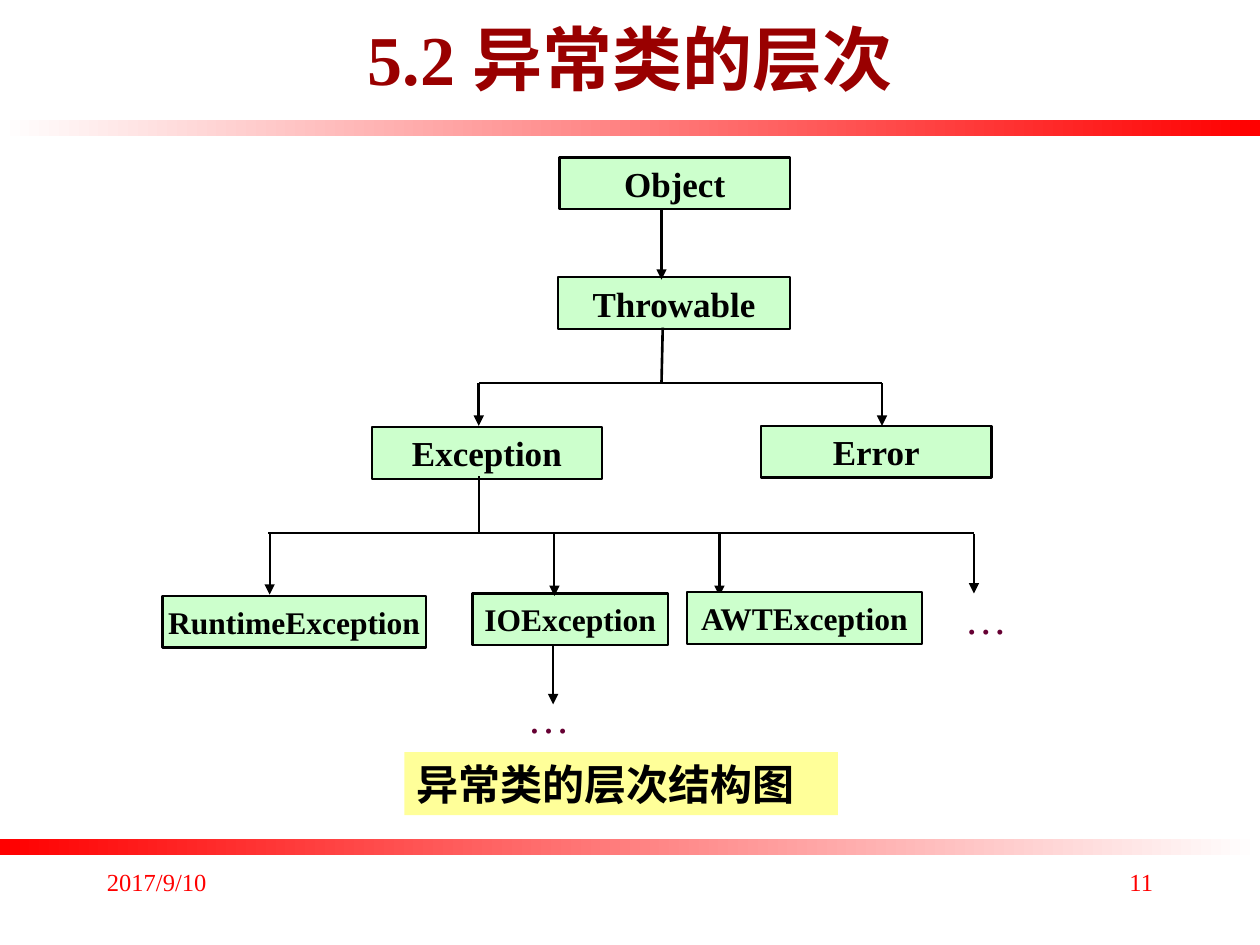
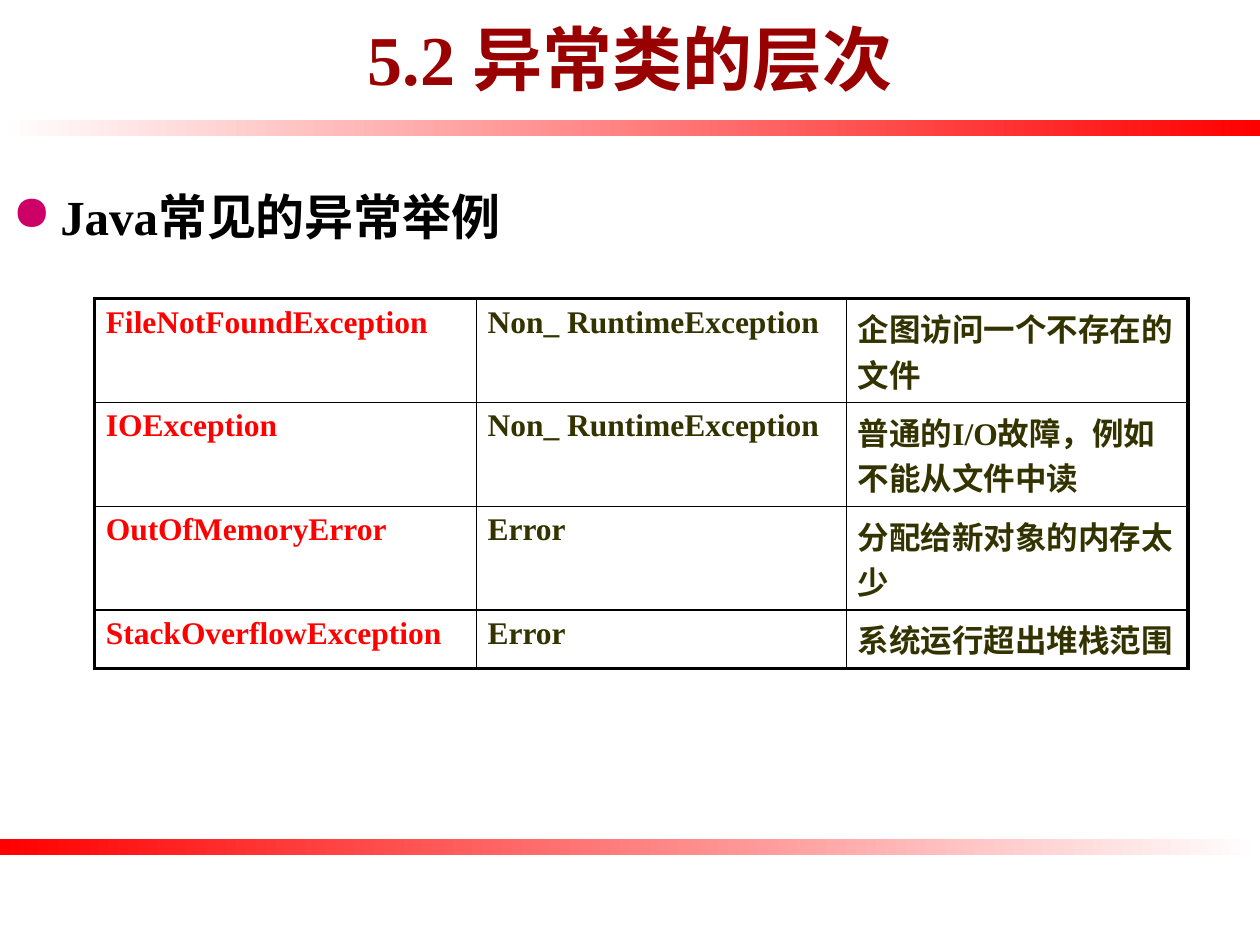
from lxml.etree import SubElement
from pptx import Presentation
from pptx.dml.color import RGBColor
from pptx.enum.shapes import MSO_CONNECTOR, MSO_SHAPE
from pptx.enum.text import MSO_ANCHOR, PP_ALIGN
from pptx.oxml import parse_xml
from pptx.oxml.ns import nsdecls, qn
from pptx.util import Inches, Pt

FONT = "Times New Roman"
BLACK, WHITE, RED = "000000", "FFFFFF", "FF0000"
TITLE, NODE, CAPTION = "990000", "CCFFCC", "FFFF99"
PLUM, OLIVE, BULLET = "660033", "333300", "CC0066"
HEADING = "5.2 异常类的层次"
NODE_H = 0.41


def rgb(value):
    return RGBColor.from_string(value)


def box(*lengths):
    return [Inches(v) for v in lengths]


def set_all(obj, values):
    for name, value in values.items():
        setattr(obj, name, value)


def write(tf, text, size, color, bold=False, align=PP_ALIGN.LEFT):
    p = tf.paragraphs[0]
    p.alignment = align
    r = p.add_run()
    r.text = text
    set_all(r.font, {"name": FONT, "size": Pt(size), "bold": bold})
    r.font.color.rgb = rgb(color)
    return p


def add_text(s, at, text, size, color, bold=False, align=PP_ALIGN.LEFT, wrap=True):
    sp = s.shapes.add_textbox(*box(*at))
    sp.text_frame.word_wrap = wrap
    write(sp.text_frame, text, size, color, bold, align)
    return sp


def add_band(s, layout, top, colors):
    sp = s.shapes.add_shape(MSO_SHAPE.RECTANGLE, *box(0, top, 10, 0.13))
    sp.shadow.inherit = False
    sp.line.fill.background()
    sp.fill.gradient()
    sp.fill.gradient_angle = 0
    for stop, color in zip(sp.fill.gradient_stops, colors):
        stop.color.rgb = rgb(color)
    layout.shapes.element.append(sp.element)


def add_title(s):
    sp = s.shapes.title
    left, top, width, height = box(0.75, -0.17, 8.5, 1.25)
    set_all(sp, {"left": left, "top": top, "width": width, "height": height})
    set_all(sp.text_frame, {"word_wrap": True, "vertical_anchor": MSO_ANCHOR.MIDDLE})
    write(sp.text_frame, HEADING, 40, TITLE, True, PP_ALIGN.CENTER)


def add_footer(s, date, number):
    for left, text, align in ((0.75, date, PP_ALIGN.LEFT), (7.17, number, PP_ALIGN.RIGHT)):
        add_text(s, (left, 6.83, 2.08, 0.5), text, 14, RED, align=align)


def add_node(s, x, y, width, text, size):
    sp = s.shapes.add_shape(MSO_SHAPE.RECTANGLE, *box(x, y, width, NODE_H))
    sp.shadow.inherit = False
    sp.fill.solid()
    sp.fill.fore_color.rgb = rgb(NODE)
    sp.line.color.rgb = rgb(BLACK)
    sp.line.width = Pt(1.25)
    set_all(sp.text_frame, {"word_wrap": False, "vertical_anchor": MSO_ANCHOR.MIDDLE})
    write(sp.text_frame, text, size, BLACK, True, PP_ALIGN.CENTER)


def add_edge(s, x1, y1, x2, y2, weight, arrow):
    sp = s.shapes.add_connector(MSO_CONNECTOR.STRAIGHT, *box(x1, y1, x2, y2))
    sp.line.color.rgb = rgb(BLACK)
    sp.line.width = Pt(weight)
    if arrow:
        SubElement(sp.line._get_or_add_ln(), qn("a:tailEnd"), type="triangle")
    SubElement(sp.element.spPr, qn("a:effectLst"))


def add_class_tree(s, x, y):
    nodes = [
        (3.15, 0, 1.83, "Object", 20),
        (3.14, 0.95, 1.84, "Throwable", 20),
        (4.75, 2.13, 1.83, "Error", 20),
        (1.66, 2.14, 1.83, "Exception", 20),
        (2.46, 3.46, 1.55, "IOException", 18),
        (0, 3.48, 2.09, "RuntimeException", 18),
    ]
    edges = [
        (3.96, 0.42, 3.96, 0.97, 1.25, True),
        (3.97, 1.35, 3.96, 1.79, 1.5, False),
        (2.51, 1.79, 5.71, 1.79, 1.5, False),
        (2.51, 1.79, 2.51, 2.13, 1.5, True),
        (5.71, 1.79, 5.71, 2.13, 1.25, True),
        (2.51, 2.53, 2.51, 2.98, 1.25, False),
        (0.84, 2.98, 6.44, 2.98, 0.75, False),
        (3.1, 3.87, 3.1, 4.34, 1.25, True),
    ]
    edges += [(dx, 2.99, dx, end, 1.25, True)
              for dx, end in ((0.85, 3.47), (3.11, 3.48), (4.42, 3.48), (6.44, 3.46))]
    for dx, dy, width, text, size in nodes:
        add_node(s, x + dx, y + dy, width, text, size)
    for x1, y1, x2, y2, weight, arrow in edges:
        add_edge(s, x + x1, y + y1, x + x2, y + y2, weight, arrow)
    add_node(s, x + 4.16, y + 3.45, 1.87, "AWTException", 18)
    for dx, dy in ((2.8, 4.19), (6.27, 3.4)):
        add_text(s, (x + dx, y + dy, 0.53, 0.5), "…", 24, PLUM, wrap=False)


def add_caption(s, x, y):
    sp = add_text(s, (x, y, 3.44, 0.5), "异常类的层次结构图", 24, BLACK, True)
    sp.fill.solid()
    sp.fill.fore_color.rgb = rgb(CAPTION)


def add_bullet(s, x, y, text):
    sp = add_text(s, (x, y, 5.78, 4.5), text, 28, BLACK, True)
    pPr = sp.text_frame.paragraphs[0]._p.get_or_add_pPr()
    indent = Inches(0.38)
    pPr.set("marL", str(indent))
    pPr.set("indent", str(-indent))
    SubElement(SubElement(pPr, qn("a:buClr")), qn("a:srgbClr"), val=BULLET)
    SubElement(pPr, qn("a:buChar"), char="●")


def set_borders(cell, weights):
    tcPr = cell._tc.get_or_add_tcPr()
    for i, (side, weight) in enumerate(zip("LRTB", weights)):
        tcPr.insert(i, parse_xml(
            f'<a:ln{side} {nsdecls("a")} w="{Pt(weight)}"><a:solidFill>'
            f'<a:srgbClr val="{BLACK}"/></a:solidFill></a:ln{side}>'))


def add_exception_table(s, x, y):
    rows = [
        ("FileNotFoundException", "Non_ RuntimeException", "企图访问一个不存在的文件"),
        ("IOException", "Non_ RuntimeException", "普通的I/O故障，例如不能从文件中读"),
        ("OutOfMemoryError", "Error", "分配给新对象的内存太少"),
        ("StackOverflowException", "Error", "系统运行超出堆栈范围"),
    ]
    widths, heights = (3.03, 2.94, 2.71), (0.6, 0.79, 0.61, 0.3)
    frame = s.shapes.add_table(len(rows), len(widths), *box(x, y, sum(widths), sum(heights)))
    table = frame.table
    set_all(table, {"first_row": False, "horz_banding": False})
    for column, width in zip(table.columns, widths):
        column.width = Inches(width)
    for row, height in zip(table.rows, heights):
        row.height = Inches(height)
    last_row, last_col = len(rows) - 1, len(widths) - 1
    for i, texts in enumerate(rows):
        for j, text in enumerate(texts):
            cell = table.cell(i, j)
            cell.fill.background()
            set_all(cell, {"margin_left": Inches(0.09), "margin_right": Inches(0.09),
                           "margin_top": Inches(0.05), "margin_bottom": Inches(0.05)})
            write(cell.text_frame, text, 18, OLIVE if j else RED, True)
            outer = (j == 0, j == last_col, i == 0, i == last_row)
            set_borders(cell, [2.25 if edge else 1 for edge in outer])


def add_tree_slide(s):
    add_title(s)
    add_footer(s, "2017/9/10", "11")
    add_class_tree(s, 1.29, 1.25)
    add_caption(s, 3.21, 5.97)


def add_table_slide(s):
    add_title(s)
    add_exception_table(s, 0.75, 2.37)
    add_bullet(s, 0, 1.43, "Java常见的异常举例")


def main():
    prs = Presentation()
    set_all(prs, {"slide_width": Inches(10), "slide_height": Inches(7.5)})
    layout = prs.slide_layouts[5]
    tree, examples = [prs.slides.add_slide(layout) for _ in range(2)]
    add_band(tree, layout, 0.95, (WHITE, RED))
    add_band(tree, layout, 6.66, (RED, WHITE))
    add_tree_slide(tree)
    add_table_slide(examples)
    prs.save("out.pptx")


if __name__ == "__main__":
    main()
